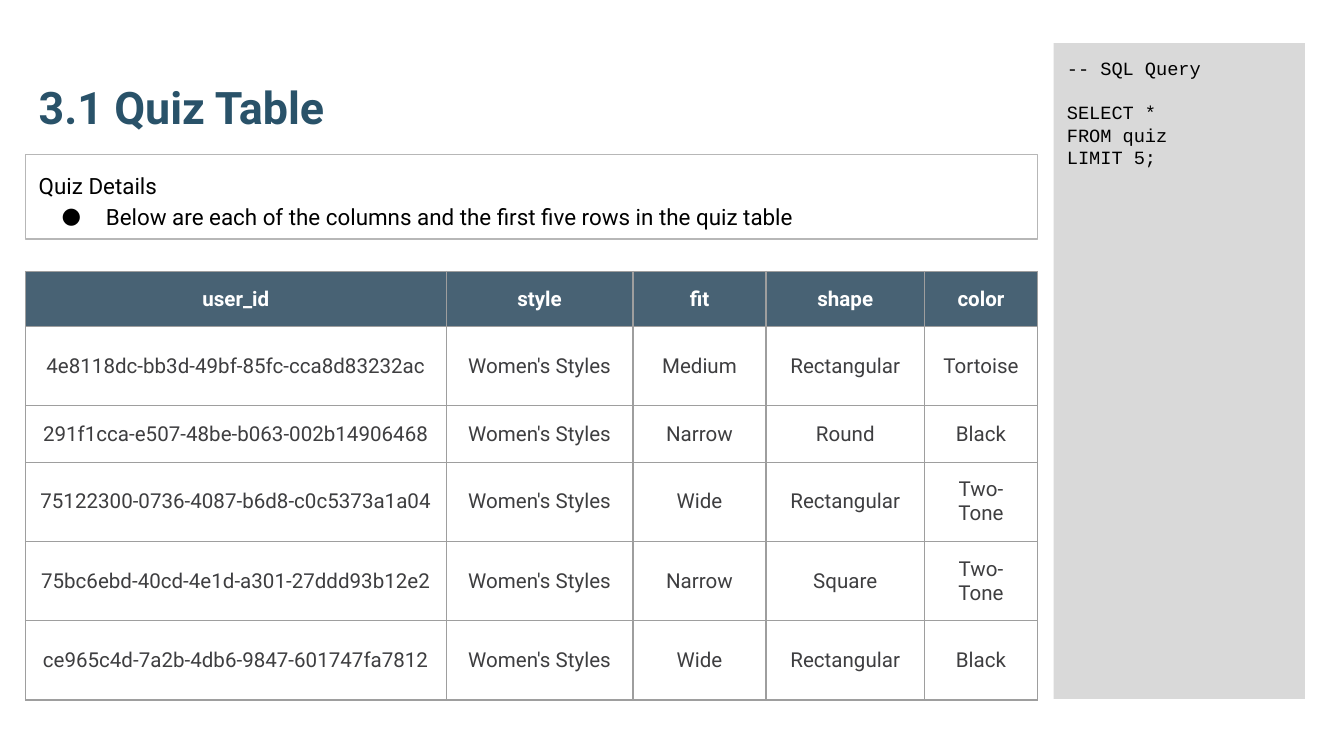
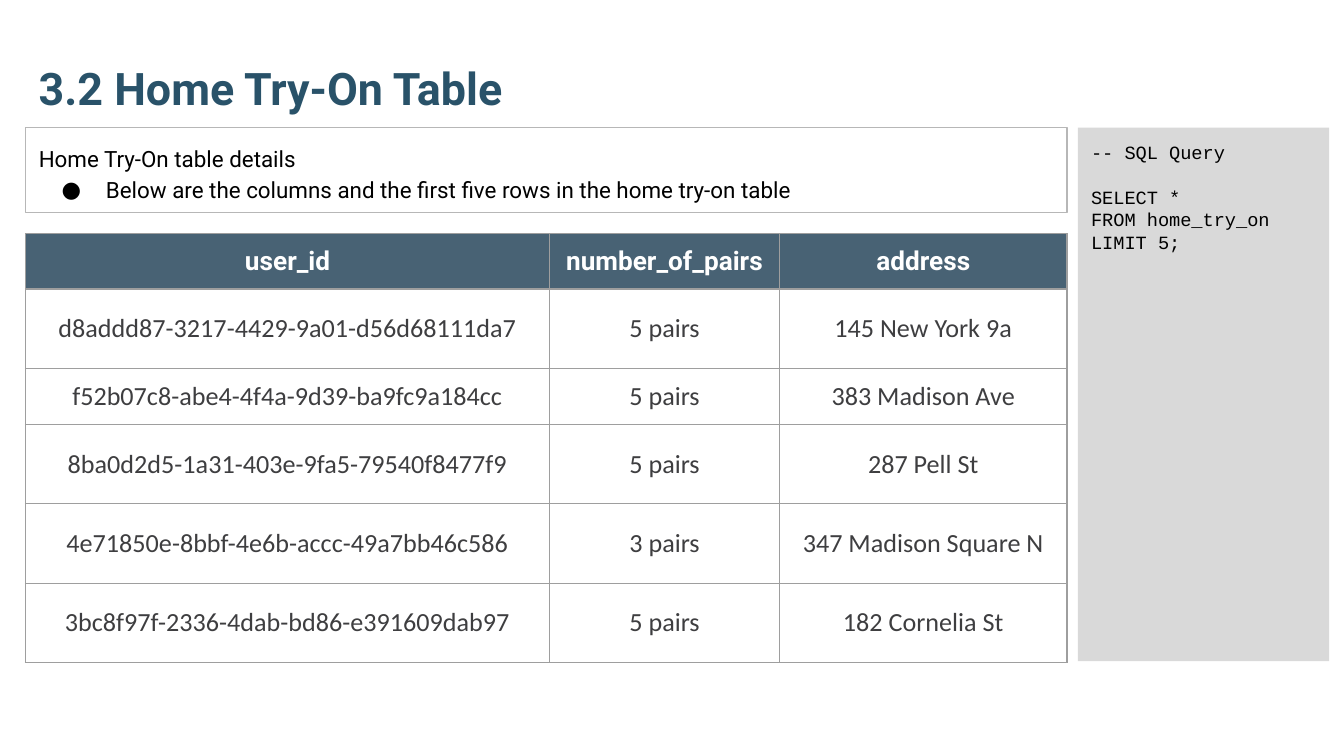
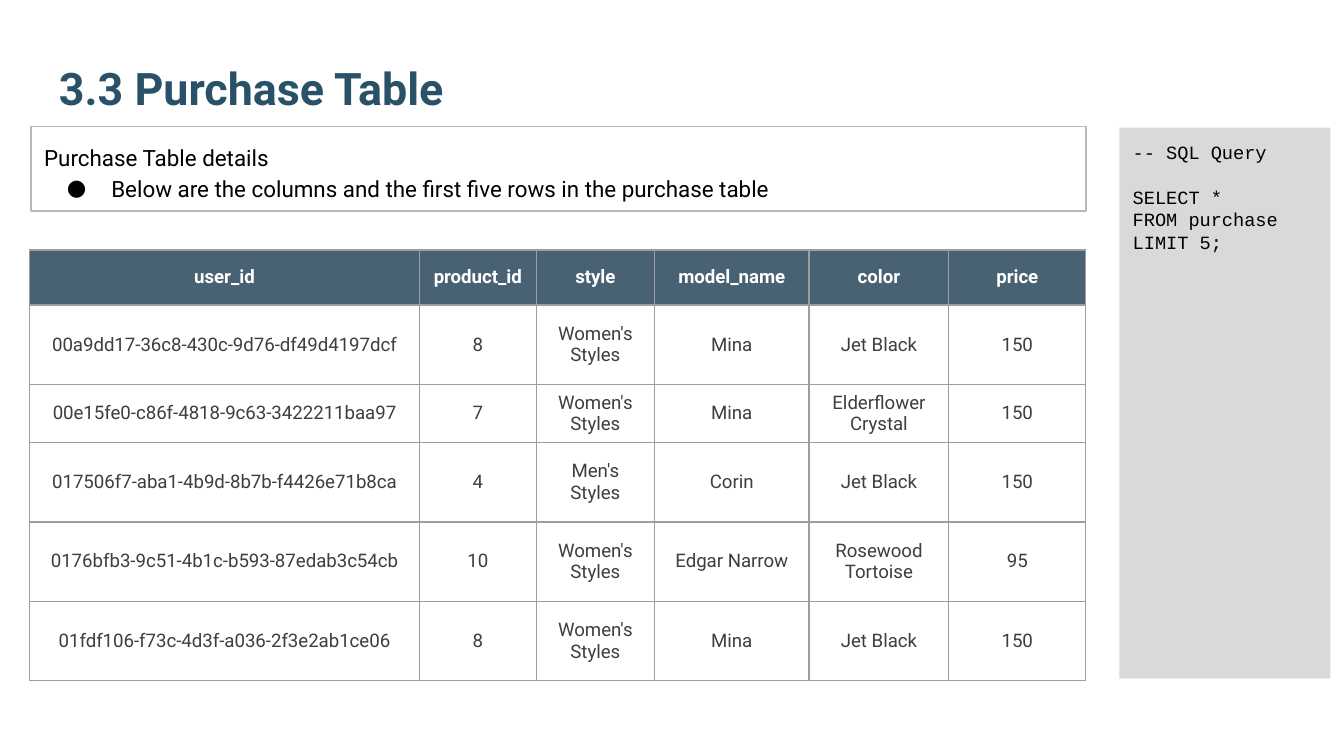
from dataclasses import dataclass

from lxml.etree import SubElement
from pptx import Presentation
from pptx.dml.color import RGBColor
from pptx.enum.shapes import MSO_SHAPE as Shape
from pptx.enum.text import MSO_ANCHOR as Anchor, PP_ALIGN as Align
from pptx.oxml.ns import qn
from pptx.util import Inches, Pt


@dataclass(frozen=True)
class Theme:
    title: str = "295269"
    text: str = "000000"
    body: str = "3E3E40"
    header_text: str = "FFFFFF"
    header_fill: str = "204056"
    header_opacity: int = 82
    box_line: str = "B7B7B7"
    grid: str = "9E9E9E"
    code_fill: str = "D9D9D9"
    font: str = "Roboto"
    code_font: str = "Courier New"
    title_size: int = 24
    details_size: int = 12
    code_size: int = 10
    line_width: float = 0.75


theme = Theme()


def write_text(text_frame, text, size, color, font=theme.font, bold=False):
    text_frame.text = text
    for paragraph in text_frame.paragraphs:
        for run in paragraph.runs:
            run.font.size = Pt(size)
            run.font.name = font
            run.font.bold = bold
            run.font.color.rgb = RGBColor.from_string(color)


def add_box(slide, frame, text, size, font):
    shape = slide.shapes.add_shape(Shape.RECTANGLE, *map(Inches, frame))
    shape.shadow.inherit = False
    shape.fill.background()
    shape.line.fill.background()
    text_frame = shape.text_frame
    text_frame.word_wrap = True
    text_frame.vertical_anchor = Anchor.TOP
    text_frame.margin_left = text_frame.margin_right = Inches(0.1)
    text_frame.margin_top = text_frame.margin_bottom = Inches(0.1)
    write_text(text_frame, text, size, theme.text, font)
    for paragraph in text_frame.paragraphs:
        paragraph.alignment = Align.LEFT
    return shape


row_heights = [0.41, 0.59, 0.42, 0.59, 0.59, 0.59]

pages = [
    {
        "title": "3.1 Quiz Table",
        "title_frame": (0.19, 0.32, 9.46, 0.77),
        "details": "Quiz Details",
        "bullet": "Below are each of the columns and the first five rows in the quiz table",
        "details_frame": (0.19, 1.15, 7.53, 0.63),
        "table_name": "quiz",
        "code_frame": (7.84, 0.32, 1.87, 4.88),
        "table_corner": (0.19, 2.02),
        "column_widths": [3.13, 1.39, 0.99, 1.18, 0.84],
        "table_size": 11,
        "body_font": theme.font,
        "rows": [
            ["user_id", "style", "fit", "shape", "color"],
            ["4e8118dc-bb3d-49bf-85fc-cca8d83232ac", "Women's Styles", "Medium", "Rectangular", "Tortoise"],
            ["291f1cca-e507-48be-b063-002b14906468", "Women's Styles", "Narrow", "Round", "Black"],
            ["75122300-0736-4087-b6d8-c0c5373a1a04", "Women's Styles", "Wide", "Rectangular", "Two-Tone"],
            ["75bc6ebd-40cd-4e1d-a301-27ddd93b12e2", "Women's Styles", "Narrow", "Square", "Two-Tone"],
            ["ce965c4d-7a2b-4db6-9847-601747fa7812", "Women's Styles", "Wide", "Rectangular", "Black"],
        ],
    },
    {
        "title": "3.2 Home Try-On Table",
        "title_frame": (0.19, 0.32, 9.7, 0.63),
        "details": "Home Try-On table details",
        "bullet": "Below are the columns and the first five rows in the home try-on table",
        "details_frame": (0.19, 0.95, 7.75, 0.63),
        "table_name": "home_try_on",
        "code_frame": (8.02, 0.95, 1.87, 3.97),
        "table_corner": (0.19, 1.74),
        "column_widths": [3.9, 1.71, 2.14],
        "table_size": 14,
        "body_font": "Calibri",
        "rows": [
            ["user_id", "number_of_pairs", "address"],
            ["d8addd87-3217-4429-9a01-d56d68111da7", "5 pairs", "145 New York 9a"],
            ["f52b07c8-abe4-4f4a-9d39-ba9fc9a184cc", "5 pairs", "383 Madison Ave"],
            ["8ba0d2d5-1a31-403e-9fa5-79540f8477f9", "5 pairs", "287 Pell St"],
            ["4e71850e-8bbf-4e6b-accc-49a7bb46c586", "3 pairs", "347 Madison Square N"],
            ["3bc8f97f-2336-4dab-bd86-e391609dab97", "5 pairs", "182 Cornelia St"],
        ],
    },
    {
        "title": "3.3 Purchase Table",
        "title_frame": (0.34, 0.32, 9.32, 0.63),
        "details": "Purchase Table details",
        "bullet": "Below are the columns and the first five rows in the purchase table",
        "details_frame": (0.23, 0.94, 7.85, 0.63),
        "table_name": "purchase",
        "code_frame": (8.33, 0.95, 1.57, 4.1),
        "table_corner": (0.22, 1.86),
        "column_widths": [2.9, 0.87, 0.88, 1.15, 1.04, 1.02],
        "table_size": 10,
        "body_font": theme.font,
        "rows": [
            ["user_id", "product_id", "style", "model_name", "color", "price"],
            ["00a9dd17-36c8-430c-9d76-df49d4197dcf", "8", "Women's Styles", "Mina", "Jet Black", "150"],
            ["00e15fe0-c86f-4818-9c63-3422211baa97", "7", "Women's Styles", "Mina", "Elderflower Crystal", "150"],
            ["017506f7-aba1-4b9d-8b7b-f4426e71b8ca", "4", "Men's Styles", "Corin", "Jet Black", "150"],
            ["0176bfb3-9c51-4b1c-b593-87edab3c54cb", "10", "Women's Styles", "Edgar Narrow", "Rosewood Tortoise", "95"],
            ["01fdf106-f73c-4d3f-a036-2f3e2ab1ce06", "8", "Women's Styles", "Mina", "Jet Black", "150"],
        ],
    },
]

presentation = Presentation()
presentation.slide_width = Inches(10)
presentation.slide_height = Inches(10 * 9 / 16)

for page in pages:
    slide = presentation.slides.add_slide(presentation.slide_layouts[6])

    title = slide.shapes.add_textbox(*map(Inches, page["title_frame"])).text_frame
    title.word_wrap = True
    title.vertical_anchor = Anchor.BOTTOM
    title.margin_top = title.margin_bottom = Inches(0.1)
    write_text(title, page["title"], theme.title_size, theme.title, bold=True)

    details_text = page["details"] + "\n" + page["bullet"]
    details = add_box(slide, page["details_frame"], details_text, theme.details_size, theme.font)
    details.line.color.rgb = RGBColor.from_string(theme.box_line)
    details.line.width = Pt(theme.line_width)
    for paragraph in details.text_frame.paragraphs:
        paragraph.line_spacing = 1.15
    properties = details.text_frame.paragraphs[1]._p.get_or_add_pPr()
    properties.set("marL", str(Inches(0.5)))
    properties.set("indent", str(Inches(-0.33)))
    bullet_color = SubElement(properties, qn("a:buClr"))
    SubElement(bullet_color, qn("a:srgbClr"), val=theme.text)
    SubElement(properties, qn("a:buFont"), typeface=theme.font)
    SubElement(properties, qn("a:buChar"), char="●")

    rows, widths = page["rows"], page["column_widths"]
    left, top = page["table_corner"]
    table = slide.shapes.add_table(
        len(rows), len(widths), Inches(left), Inches(top), Inches(sum(widths)), Inches(sum(row_heights))
    ).table
    table.horz_banding = False
    for column, width in zip(table.columns, widths):
        column.width = Inches(width)
    for row, height in zip(table.rows, row_heights):
        row.height = Inches(height)
    for row_index, values in enumerate(rows):
        is_header = row_index == 0
        for column_index, value in enumerate(values):
            cell = table.cell(row_index, column_index)
            cell.vertical_anchor = Anchor.MIDDLE
            cell_properties = cell._tc.get_or_add_tcPr()
            for side in ("lnL", "lnR", "lnT", "lnB"):
                border = SubElement(cell_properties, qn("a:" + side), w=str(Pt(theme.line_width)))
                border_fill = SubElement(border, qn("a:solidFill"))
                SubElement(border_fill, qn("a:srgbClr"), val=theme.grid)
            if is_header:
                cell.margin_left = cell.margin_right = Inches(0.08)
                cell.margin_top = cell.margin_bottom = Inches(0.08)
                cell.fill.solid()
                cell.fill.fore_color.rgb = RGBColor.from_string(theme.header_fill)
                color = cell_properties.find(qn("a:solidFill")).find(qn("a:srgbClr"))
                SubElement(color, qn("a:alpha"), val=str(theme.header_opacity * 1000))
            else:
                cell.fill.background()
            write_text(
                cell.text_frame,
                value,
                page["table_size"],
                theme.header_text if is_header else theme.body,
                theme.font if is_header else page["body_font"],
                is_header,
            )
            cell.text_frame.paragraphs[0].alignment = Align.CENTER

    query = f"-- SQL Query\nSELECT *\nFROM {page['table_name']}\nLIMIT 5;"
    code = add_box(slide, page["code_frame"], query, theme.code_size, theme.code_font)
    code.fill.solid()
    code.fill.fore_color.rgb = RGBColor.from_string(theme.code_fill)
    code.text_frame.paragraphs[1].space_before = Pt(12)

presentation.save("out.pptx")
